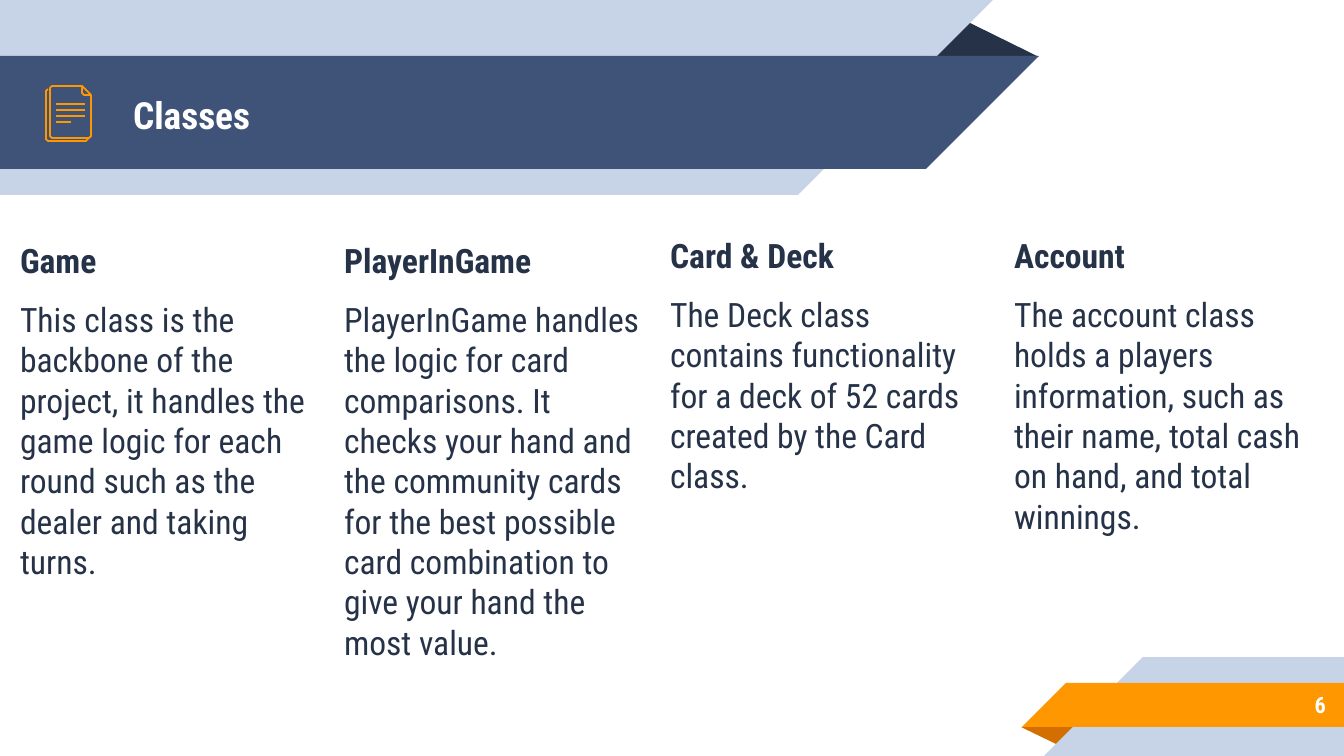
from lxml.etree import SubElement
from pptx import Presentation
from pptx.dml.color import RGBColor
from pptx.enum.shapes import MSO_CONNECTOR, MSO_SHAPE
from pptx.enum.text import MSO_ANCHOR, MSO_AUTO_SIZE, PP_ALIGN
from pptx.oxml.ns import qn
from pptx.util import Pt

EMU_PER_PX = 914400 / 134.4
FONT = "Roboto Condensed"
NAVY, SLATE, MIST = "263248", "3F5378", "C7D3E6"
ORANGE, RUST, WHITE = "FF9800", "D26F00", "FFFFFF"


def px(length):
    return round(length * EMU_PER_PX)


def rgb(color):
    return RGBColor.from_string(color)


def write(paragraph, text, size=18, color=NAVY, bold=False,
          align=PP_ALIGN.LEFT, before=0, after=0):
    paragraph.alignment = align
    paragraph.space_before, paragraph.space_after = Pt(before), Pt(after)
    properties = paragraph._p.get_or_add_pPr()
    properties.set("marL", "0")
    properties.set("indent", "0")
    SubElement(properties, qn("a:buNone"))
    run = paragraph.add_run()
    run.text = text
    font = run.font
    font.name, font.size, font.bold = FONT, Pt(size), bold
    font.color.rgb = rgb(color)


class SlideBuilder:
    """Holds the current slide and draws on it in px."""

    def __init__(self, slide):
        self.slide = slide
        self.shapes = slide.shapes

    def block(self, kind, box, color, flip=None, rotation=0, apex=None):
        shape = self.shapes.add_shape(kind, *map(px, box))
        shape.shadow.inherit = False
        shape.fill.solid()
        shape.fill.fore_color.rgb = rgb(color)
        shape.line.fill.background()
        shape.rotation = rotation
        if apex is not None:
            shape.adjustments[0] = apex
        if flip:
            shape.element.spPr.find(qn("a:xfrm")).set(flip, "1")

    def ribbon(self, left, top, width, height, color, on_left):
        """Bar from a slide edge, with a 45-degree end on the inner side."""
        self.block(MSO_SHAPE.RECTANGLE, (left, top, width, height), color)
        tip = left + width if on_left else left - height
        self.block(MSO_SHAPE.RIGHT_TRIANGLE, (tip, top, height, height), color,
                   flip="flipV" if on_left else "flipH")

    def fold(self, box, color, rotation=0):
        self.block(MSO_SHAPE.ISOSCELES_TRIANGLE, box, color,
                   rotation=rotation, apex=0.324)

    def outline(self, points, closed=False):
        pen = self.shapes.build_freeform(*points[0], scale=EMU_PER_PX)
        pen.add_line_segments(points[1:], close=closed)
        shape = pen.convert_to_shape()
        shape.shadow.inherit = False
        shape.fill.background()
        self.stroke(shape.line)

    def rule(self, left, right, y):
        line = self.shapes.add_connector(
            MSO_CONNECTOR.STRAIGHT, px(left), px(y), px(right), px(y))
        SubElement(line.element.spPr, qn("a:effectLst"))
        self.stroke(line.line)

    def stroke(self, line):
        line.color.rgb = rgb(ORANGE)
        line.width = Pt(0.96)

    def frame(self, shape, box, anchor):
        """Place a text shape in front and return its text frame."""
        shape.left, shape.top, shape.width, shape.height = map(px, box)
        shape.element.getparent().append(shape.element)
        frame = shape.text_frame
        frame.word_wrap = True
        frame.auto_size = MSO_AUTO_SIZE.NONE
        frame.vertical_anchor = anchor
        frame.margin_left = frame.margin_right = px(13)
        frame.margin_top = frame.margin_bottom = px(13)
        return frame

    def title(self, text, box):
        frame = self.frame(self.shapes.title, box, MSO_ANCHOR.MIDDLE)
        write(frame.paragraphs[0], text, size=20, color=WHITE, bold=True)

    def column(self, index, left, top, heading, description):
        frame = self.frame(self.slide.placeholders[index],
                           (left, top, 331, 398), MSO_ANCHOR.TOP)
        write(frame.paragraphs[0], heading, bold=True, before=6)
        write(frame.add_paragraph(), description, before=10, after=10)

    def page_number(self, text, box):
        label = self.shapes.add_textbox(*map(px, box))
        frame = self.frame(label, box, MSO_ANCHOR.MIDDLE)
        write(frame.paragraphs[0], text, size=12, color=WHITE, bold=True,
              align=PP_ALIGN.RIGHT)

    def document_icon(self):
        self.outline([(88, 138), (88, 139), (86, 141), (48, 141),
                      (46, 139), (46, 91), (48, 89)])
        self.outline([(91, 95), (91, 136), (89, 138), (52, 138),
                      (50, 136), (50, 88), (52, 86), (82, 86)])
        self.outline([(82, 86), (91, 95), (84, 95), (82, 93)], closed=True)
        for row, right in enumerate((85, 85, 85, 71)):
            self.rule(56, right, 104 + 6 * row)


COLUMNS = [
    (7, 227, "Game",
     "This class is the backbone of the project, it handles the game logic "
     "for each round such as the dealer and taking turns."),
    (331, 227, "PlayerInGame",
     "PlayerInGame handles the logic for card comparisons. It checks your "
     "hand and the community cards for the best possible card combination "
     "to give your hand the most value."),
    (657, 222, "Card & Deck",
     "The Deck class contains functionality for a deck of 52 cards created "
     "by the Card class."),
    (1001, 222, "Account",
     "The account class holds a players information, such as their name, "
     "total cash on hand, and total winnings."),
]


def main():
    deck = Presentation()
    deck.slide_width, deck.slide_height = px(1344), px(756)
    comparison = deck.slide_layouts[4]
    builder = SlideBuilder(deck.slides.add_slide(comparison))

    builder.fold((925, 19, 114, 38), NAVY)
    builder.ribbon(0, 0, 798, 195, MIST, on_left=True)
    builder.ribbon(0, 56, 926, 113, SLATE, on_left=True)

    builder.fold((1021, 727, 58, 19), RUST, rotation=180)
    builder.ribbon(1143, 657, 201, 99, MIST, on_left=False)
    builder.ribbon(1066, 683, 278, 44, ORANGE, on_left=False)

    builder.title("Classes", (120, 58, 773, 113))
    for index, column in enumerate(COLUMNS, start=1):
        builder.column(index, *column)
    builder.page_number("6", (1120, 681, 219, 47))
    builder.document_icon()

    deck.save("out.pptx")


if __name__ == "__main__":
    main()
